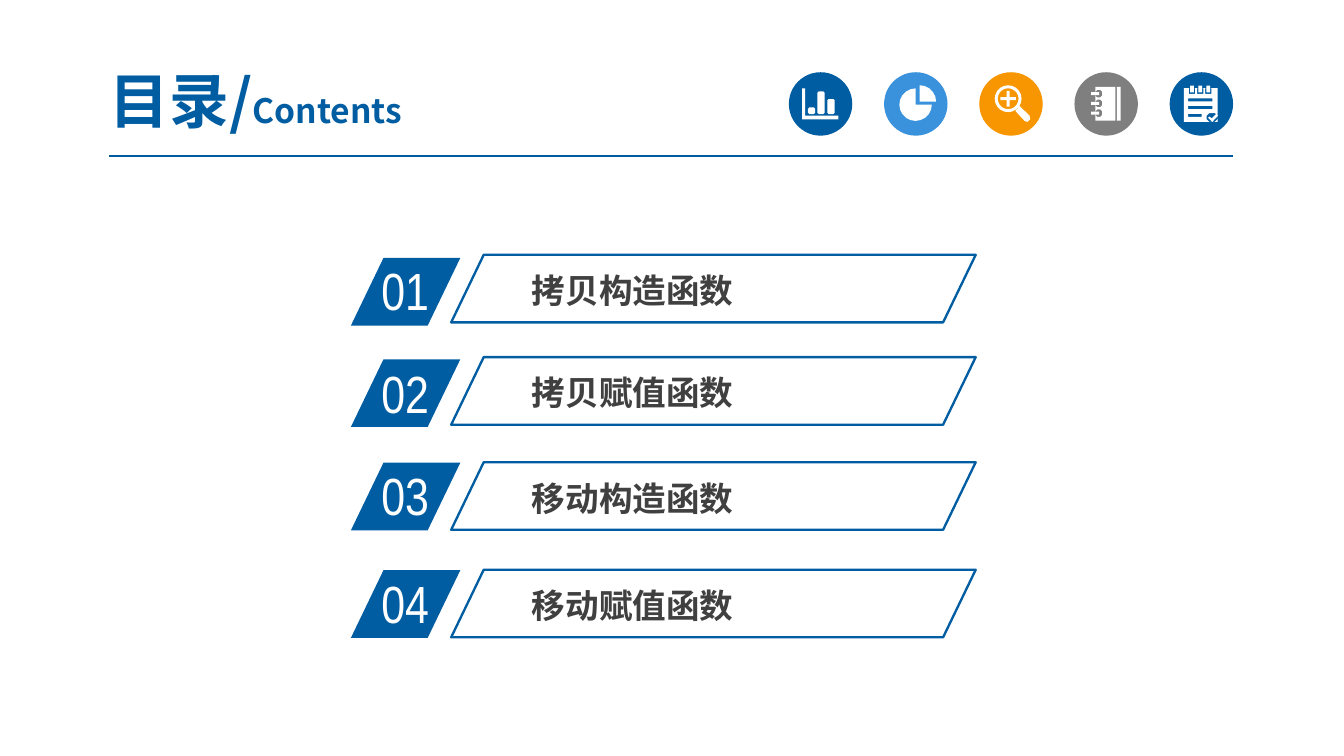
import math

from lxml import etree
from pptx import Presentation
from pptx.dml.color import RGBColor
from pptx.enum import shapes, text
from pptx.oxml import ns
from pptx.util import Pt

BLUE = RGBColor(0x00, 0x5D, 0xA2)
RULE_BLUE = RGBColor(0x00, 0x5B, 0x9E)
SKY = RGBColor(0x39, 0x92, 0xDB)
ORANGE = RGBColor(0xF7, 0x96, 0x00)
GRAY = RGBColor(0x7F, 0x7F, 0x7F)
DARK = RGBColor(0x40, 0x40, 0x40)
WHITE = RGBColor(0xFF, 0xFF, 0xFF)

CJK = "Noto Sans CJK SC"
TITLE = {"size": Pt(32), "name": CJK, "bold": True}
SUBTITLE = {**TITLE, "size": Pt(18)}
NUMBER = {"size": Pt(28), "name": "Arial Narrow"}
LABEL = {"size": Pt(18), "name": CJK, "bold": True}

ROWS = [
    ("01", "拷贝构造函数", 138.2, 134.6, 136.5),
    ("02", "拷贝赋值函数", 192.5, 190.1, 191.3),
    ("03", "移动构造函数", 247.9, 244.8, 247.6),
    ("04", "移动赋值函数", 305.5, 302.4, 305.2),
]
BADGE_LEFT, BADGE_TOP, BADGE_SIZE, BADGE_STEP = 422.6, 38.7, 34, 51


def arc(cx, cy, radius, start, end):
    return [(cx + radius * math.cos(math.radians(a)),
             cy + radius * math.sin(math.radians(a)))
            for a in range(start, end + 1, 18)]


def block(left, top, width, height):
    right, bottom = left + width, top + height
    return [(left, top), (right, top), (right, bottom), (left, bottom)]


def chamfered(left, top, width, height, cut):
    right, bottom = left + width, top + height
    return [(left + cut, top), (right - cut, top), (right, top + cut), (right, bottom - cut),
            (right - cut, bottom), (left + cut, bottom), (left, bottom - cut), (left, top + cut)]


def bars_icon():
    axes = [(7.2, 8.6), (8.8, 8.6), (8.8, 23.2), (26.6, 23.2), (26.6, 25.2), (7.2, 25.2)]
    bars = [(10.3, 18.9), (15.3, 10.3), (20.7, 14.4)]
    return [axes] + [chamfered(x, y, 3.9, 22.4 - y, 0.7) for x, y in bars]


def pie_icon():
    return [[(19.1, 15.8)] + arc(19.1, 15.8, 8.8, -90, 0),
            [(16.9, 17.4)] + arc(16.9, 17.4, 8.7, 0, 270)]


def magnifier_icon():
    cx, cy, near, far = 15.5, 14.2, 0.8, 4.2
    plus = [(cx + x, cy + y) for x, y in [
        (-far, -near), (-near, -near), (-near, -far), (near, -far),
        (near, -near), (far, -near), (far, near), (near, near),
        (near, far), (-near, far), (-near, near), (-far, near)]]
    handle = [(21.6, 18.1), (27, 23.3), (27.3, 25.2), (25.9, 26.6),
              (24.4, 26.2), (19.4, 20.8), (20.7, 19.5)]
    return [arc(cx, cy, 7.2, 0, 342), arc(cx, cy, 5.6, 0, 342), plus, handle]


def notebook_icon():
    contours = [block(22.8, 7.9, 2, 18), block(11.2, 7.9, 10.8, 18)]
    for y in (11.5, 16.7, 21.9):
        contours += [chamfered(11.2, y - 2, 3.7, 4, 1), block(9, y - 0.8, 4.3, 1.6)]
    return contours


def notepad_icon():
    contours = [block(7.7, 8.6, 18, 18)]
    for y, width in ((14, 13), (18.1, 13), (22.3, 7.2)):
        contours.append(block(9.9, y, width, 1.7))
    for x in (12, 16.4, 20.7):
        contours += [block(x - 1.7, 8.6, 3.4, 3), block(x - 1, 7.2, 2, 3.6)]
    check = [(20.6, 24.5), (21.4, 23.8), (22.6, 24.8), (25, 22.4), (26, 23.2), (22.9, 26.6)]
    return contours + [chamfered(19.8, 22, 5.9, 4.6, 1.4), check]


def paint(shape, fill=None, outline=None):
    shape.shadow.inherit = False
    if fill is None:
        shape.fill.background()
    else:
        shape.fill.solid()
        shape.fill.fore_color.rgb = fill
    if outline is None:
        shape.line.fill.background()
    else:
        shape.line.color.rgb = outline
        shape.line.width = Pt(1.25)


def add_text(slide, box, runs, color, frame_format):
    frame = slide.shapes.add_textbox(*map(Pt, box)).text_frame
    for key, value in {"word_wrap": True, **frame_format}.items():
        setattr(frame, key, value)
    paragraph = frame.paragraphs[0]
    for words, font_format in runs:
        run = paragraph.add_run()
        run.text = words
        run.font.color.rgb = color
        for key, value in font_format.items():
            setattr(run.font, key, value)
        east_asian = etree.SubElement(run.font._element, ns.qn("a:ea"))
        east_asian.set("typeface", font_format["name"])
    return paragraph


def add_slanted(slide, box, **colors):
    panel = slide.shapes.add_shape(shapes.MSO_SHAPE.PARALLELOGRAM, *map(Pt, box))
    panel.adjustments[0] = 0.482
    paint(panel, **colors)


def add_badge(slide, left, color, contours):
    disc = slide.shapes.add_shape(
        shapes.MSO_SHAPE.OVAL, Pt(left), Pt(BADGE_TOP), Pt(BADGE_SIZE), Pt(BADGE_SIZE))
    paint(disc, fill=color)
    first, *others = [[(Pt(left + x), Pt(BADGE_TOP + y)) for x, y in contour]
                      for contour in contours]
    builder = slide.shapes.build_freeform(*first[0])
    builder.add_line_segments(first[1:], close=True)
    for contour in others:
        builder.move_to(*contour[0])
        builder.add_line_segments(contour[1:], close=True)
    paint(builder.convert_to_shape(), fill=WHITE)


def add_rule(slide):
    rule = slide.shapes.add_connector(
        shapes.MSO_CONNECTOR.STRAIGHT, Pt(58.3), Pt(83.5), Pt(660.4), Pt(83.5))
    rule.line.color.rgb = RULE_BLUE
    rule.line.width = Pt(0.75)
    etree.SubElement(rule._element.spPr, ns.qn("a:effectLst"))


def add_row(slide, number, label, tag_top, number_top, frame_top):
    grow = {"auto_size": text.MSO_AUTO_SIZE.SHAPE_TO_FIT_TEXT}
    tight = {"margin_left": Pt(5), "margin_right": Pt(5),
             "margin_top": Pt(2.7), "margin_bottom": Pt(2.7)}
    add_slanted(slide, (188, tag_top, 58.6, 36.2), fill=BLUE)
    add_text(slide, (197.3, number_top, 56, 41), [(number, NUMBER)], WHITE, grow)
    add_text(slide, (280, frame_top + 5.5, 206, 27.4), [(label, LABEL)], DARK,
             {**grow, **tight})
    add_slanted(slide, (241.7, frame_top, 281, 36.2), outline=BLUE)


def main():
    deck = Presentation()
    deck.slide_width, deck.slide_height = Pt(720), Pt(405)
    slide = deck.slides.add_slide(deck.slide_layouts[6])
    heading = add_text(slide, (48.2, 33.8, 177.8, 38.9),
                       [("目录/", TITLE), ("Contents", SUBTITLE)], BLUE,
                       {"vertical_anchor": text.MSO_ANCHOR.MIDDLE})
    heading.alignment = text.PP_ALIGN.CENTER
    add_rule(slide)
    badges = [(BLUE, bars_icon()), (SKY, pie_icon()), (ORANGE, magnifier_icon()),
              (GRAY, notebook_icon()), (BLUE, notepad_icon())]
    for i, (color, contours) in enumerate(badges):
        add_badge(slide, BADGE_LEFT + i * BADGE_STEP, color, contours)
    for row in ROWS:
        add_row(slide, *row)
    deck.save("out.pptx")


if __name__ == "__main__":
    main()
